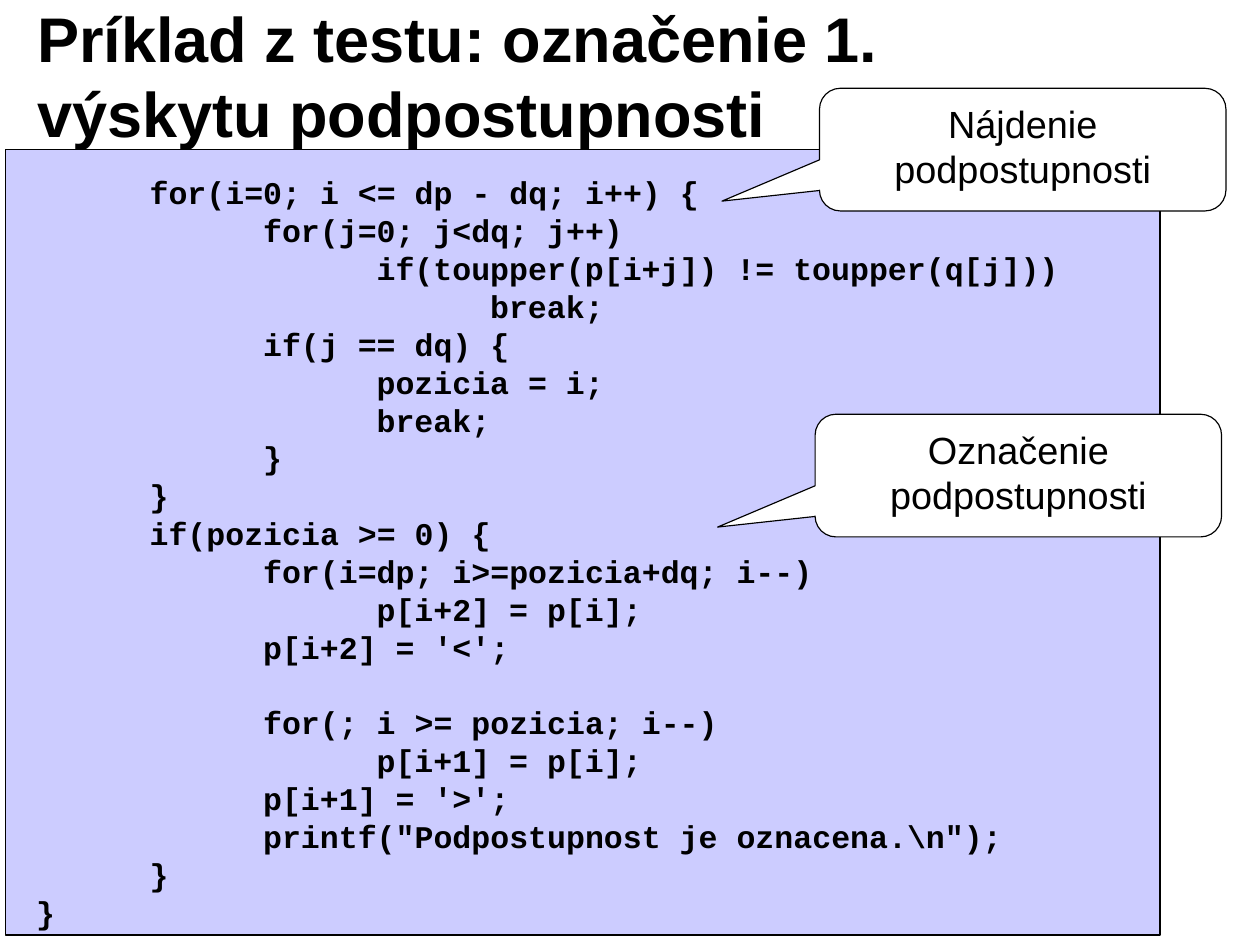
"""Build the slide on marking the first occurrence of a subsequence."""
from lxml import etree
from pptx import Presentation
from pptx.dml.color import RGBColor
from pptx.enum.shapes import MSO_SHAPE as SHAPE
from pptx.enum.text import MSO_ANCHOR as ANCHOR, PP_ALIGN as ALIGN
from pptx.oxml.ns import qn
from pptx.util import Pt

TITLE = "Príklad z testu: označenie 1. výskytu podpostupnosti"
CODE_BLOCKS = [
    [
        (1, "for(i=0; i <= dp - dq; i++) {"),
        (2, "for(j=0; j<dq; j++)"),
        (3, "if(toupper(p[i+j]) != toupper(q[j]))"),
        (4, "break;"),
        (2, "if(j == dq) {"),
        (3, "pozicia = i;"),
        (3, "break;"),
        (2, "}"),
        (1, "}"),
        (1, "if(pozicia >= 0) {"),
        (2, "for(i=dp; i>=pozicia+dq; i--)"),
        (3, "p[i+2] = p[i];"),
        (2, "p[i+2] = '<';"),
    ],
    [
        (2, "for(; i >= pozicia; i--)"),
        (3, "p[i+1] = p[i];"),
        (2, "p[i+1] = '>';"),
        (2, 'printf("Podpostupnost je oznacena.\\n");'),
        (1, "}"),
        (0, "}"),
    ],
]
CALLOUTS = [
    ("Nájdenie podpostupnosti", 519.8, 56),
    ("Označenie podpostupnosti", 517, 262.8),
]
CALLOUT_ADJ = (-0.74, 0.42, 0.17)

BLACK = RGBColor(0x00, 0x00, 0x00)
WHITE = RGBColor(0xFF, 0xFF, 0xFF)
LAVENDER = RGBColor(0xCC, 0xCC, 0xFF)
TAB = 72
CODE_PITCH = 24


def set_frame(tf, side=7.2, edge=3.6, anchor=ANCHOR.TOP):
    tf.word_wrap = True
    tf.margin_left = tf.margin_right = Pt(side)
    tf.margin_top = tf.margin_bottom = Pt(edge)
    tf.vertical_anchor = anchor


def write(p, text, font, size, pitch, bold=False, align=ALIGN.LEFT):
    p.alignment = align
    p.line_spacing = Pt(pitch)
    r = p.add_run()
    r.text = text
    r.font.name, r.font.size, r.font.bold = font, Pt(size), bold
    r.font.color.rgb = BLACK


def add_tabs(p, count=4):
    tabs = etree.SubElement(p._p.get_or_add_pPr(), qn("a:tabLst"))
    for n in range(1, count + 1):
        etree.SubElement(tabs, qn("a:tab"), pos=str(Pt(n * TAB)), algn="l")


def add_panel(slide, kind, left, top, width, height, fill):
    sp = slide.shapes.add_shape(kind, Pt(left), Pt(top), Pt(width), Pt(height))
    sp.shadow.inherit = False
    sp.fill.solid()
    sp.fill.fore_color.rgb = fill
    sp.line.color.rgb = BLACK
    sp.line.width = Pt(0.75)
    return sp


def add_code(slide):
    tf = slide.shapes.add_textbox(Pt(15.8), Pt(106.5), Pt(762.5), Pt(487.5)).text_frame
    set_frame(tf)
    p = tf.paragraphs[0]
    for b, block in enumerate(CODE_BLOCKS):
        for n, (level, line) in enumerate(block):
            if b or n:
                p = tf.add_paragraph()
            add_tabs(p)
            if b and n == 0:
                p.space_before = Pt(CODE_PITCH)
            write(p, "\t" * level + line, "Courier New", 20, CODE_PITCH, bold=True)


def main():
    prs = Presentation()
    prs.slide_width, prs.slide_height = Pt(799.2), Pt(597.6)
    slide = prs.slides.add_slide(prs.slide_layouts[6])

    tf = slide.shapes.add_textbox(Pt(15.8), Pt(10.8), Pt(642.2), Pt(73.4)).text_frame
    set_frame(tf, 7.9, 4.3, ANCHOR.MIDDLE)
    write(tf.paragraphs[0], TITLE, "Arial", 40, 48, bold=True)

    add_panel(slide, SHAPE.RECTANGLE, 3.6, 95, 732.2, 498.2, LAVENDER)
    add_code(slide)

    for text, left, top in CALLOUTS:
        sp = add_panel(slide, SHAPE.ROUNDED_RECTANGULAR_CALLOUT, left, top, 257.8, 77.8, WHITE)
        for n, value in enumerate(CALLOUT_ADJ):
            sp.adjustments[n] = value
        set_frame(sp.text_frame)
        write(sp.text_frame.paragraphs[0], text, "Arial", 24, 29, align=ALIGN.CENTER)

    prs.save("out.pptx")


if __name__ == "__main__":
    main()
